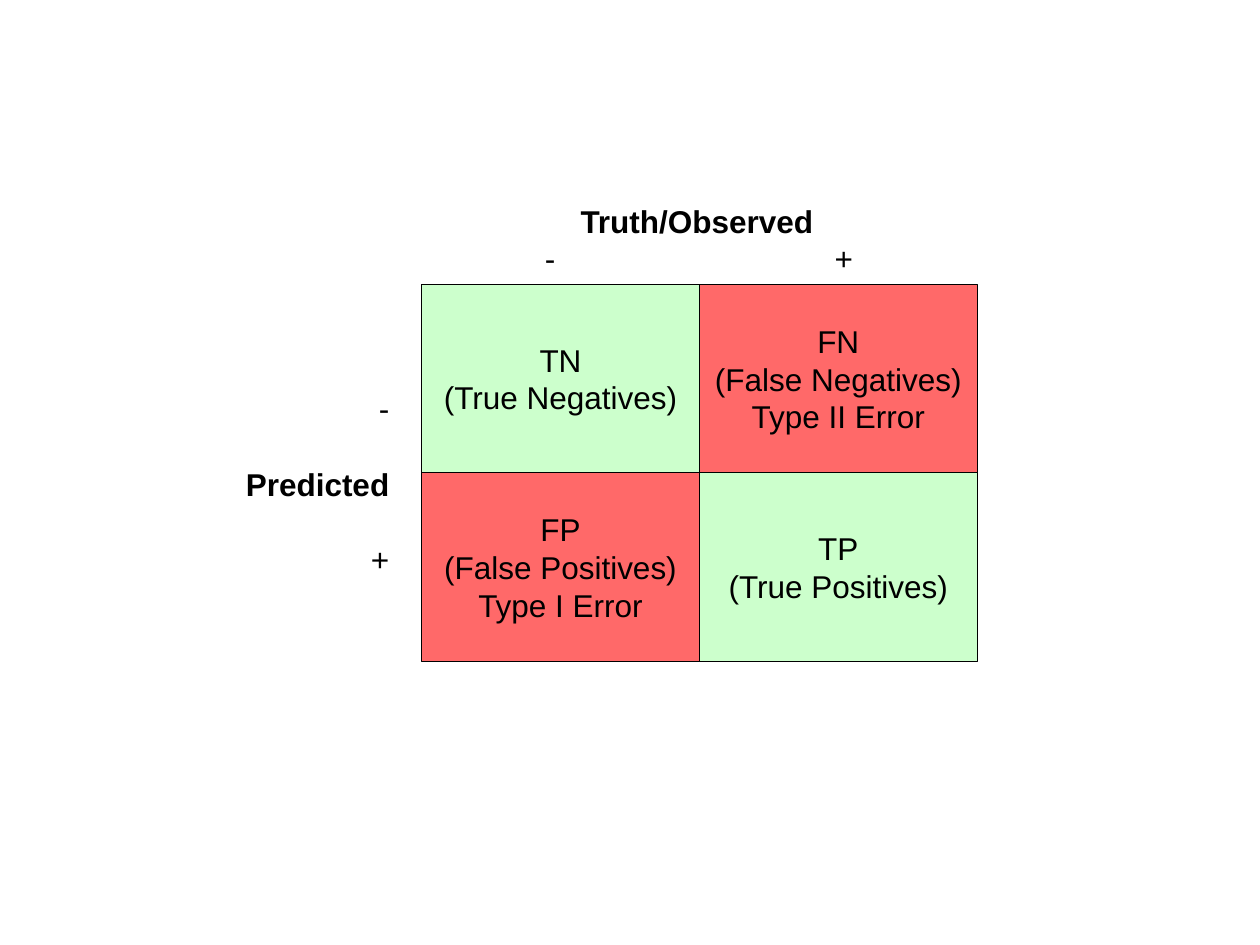
"""Build a confusion matrix slide of predicted against observed classes."""
import pptx
import pptx.dml.color
import pptx.enum.shapes
import pptx.enum.text
import pptx.util

Cm, Pt = pptx.util.Cm, pptx.util.Pt
ALIGN = pptx.enum.text.PP_ALIGN
ANCHOR = pptx.enum.text.MSO_ANCHOR

CORRECT, ERROR, BLACK = "CCFFCC", "FF6969", "000000"
OUTCOMES = [
    [(["TN", "(True Negatives)"], CORRECT),
     (["FN", "(False Negatives)", "Type II Error"], ERROR)],
    [(["FP", "(False Positives)", "Type I Error"], ERROR),
     (["TP", "(True Positives)"], CORRECT)],
]
OBSERVED = "Truth/Observed"
PREDICTED = ["-", "Predicted", "+"]
SIGNS = ["-", "+"]

MATRIX_LEFT, MATRIX_TOP = 8.5, 5.73
CELL_WIDTH, CELL_HEIGHT = 5.6, 3.8
OBSERVED_CENTER, OBSERVED_TOP, OBSERVED_WIDTH = 14.05, 3.94, 6.73
SIGN_WIDTH, SIGN_SPACING = 1, 5.92
LINE_HEIGHT, LABEL_HEIGHT = 0.76, 1.02


def color(value):
    return pptx.dml.color.RGBColor.from_string(value)


def write(shape, lines, align, anchor, bold=(), gap=0):
    frame = shape.text_frame
    frame.word_wrap = False
    frame.vertical_anchor = anchor
    frame.text = "\n".join(lines)
    for index, paragraph in enumerate(frame.paragraphs):
        paragraph.alignment = align
        paragraph.space_before = Pt(gap if index else 0)
        paragraph.font.name = "Arial"
        paragraph.font.size = Pt(18)
        paragraph.font.bold = lines[index] in bold
        paragraph.font.color.rgb = color(BLACK)


def add_label(slide, box, lines, align=ALIGN.CENTER, gap=0):
    label = slide.shapes.add_textbox(*map(Cm, box))
    write(label, lines, align, ANCHOR.TOP, (OBSERVED, "Predicted"), gap)


def add_outcome(slide, row, column, lines, fill):
    box = (MATRIX_LEFT + column * CELL_WIDTH, MATRIX_TOP + row * CELL_HEIGHT,
           CELL_WIDTH, CELL_HEIGHT)
    outcome = slide.shapes.add_shape(
        pptx.enum.shapes.MSO_SHAPE.RECTANGLE, *map(Cm, box))
    outcome.shadow.inherit = False
    outcome.fill.solid()
    outcome.fill.fore_color.rgb = color(fill)
    outcome.line.color.rgb = color(BLACK)
    outcome.line.width = Pt(0.75)
    write(outcome, lines, ALIGN.CENTER, ANCHOR.MIDDLE)


def main():
    deck = pptx.Presentation()
    deck.slide_width, deck.slide_height = Cm(25.4), Cm(19.05)
    slide = deck.slides.add_slide(deck.slide_layouts[6])

    for row, outcomes in enumerate(OUTCOMES):
        for column, (lines, fill) in enumerate(outcomes):
            add_outcome(slide, row, column, lines, fill)

    add_label(slide, (4.7, 7.72, 3.4, 4.06), PREDICTED, ALIGN.RIGHT, gap=21.5)
    add_label(slide, (OBSERVED_CENTER - OBSERVED_WIDTH / 2, OBSERVED_TOP,
                      OBSERVED_WIDTH, LABEL_HEIGHT), [OBSERVED])
    for column, sign in enumerate(SIGNS):
        center = OBSERVED_CENTER + (column - 0.5) * SIGN_SPACING
        add_label(slide, (center - SIGN_WIDTH / 2, OBSERVED_TOP + LINE_HEIGHT,
                          SIGN_WIDTH, LABEL_HEIGHT), [sign])

    deck.save("out.pptx")


if __name__ == "__main__":
    main()
